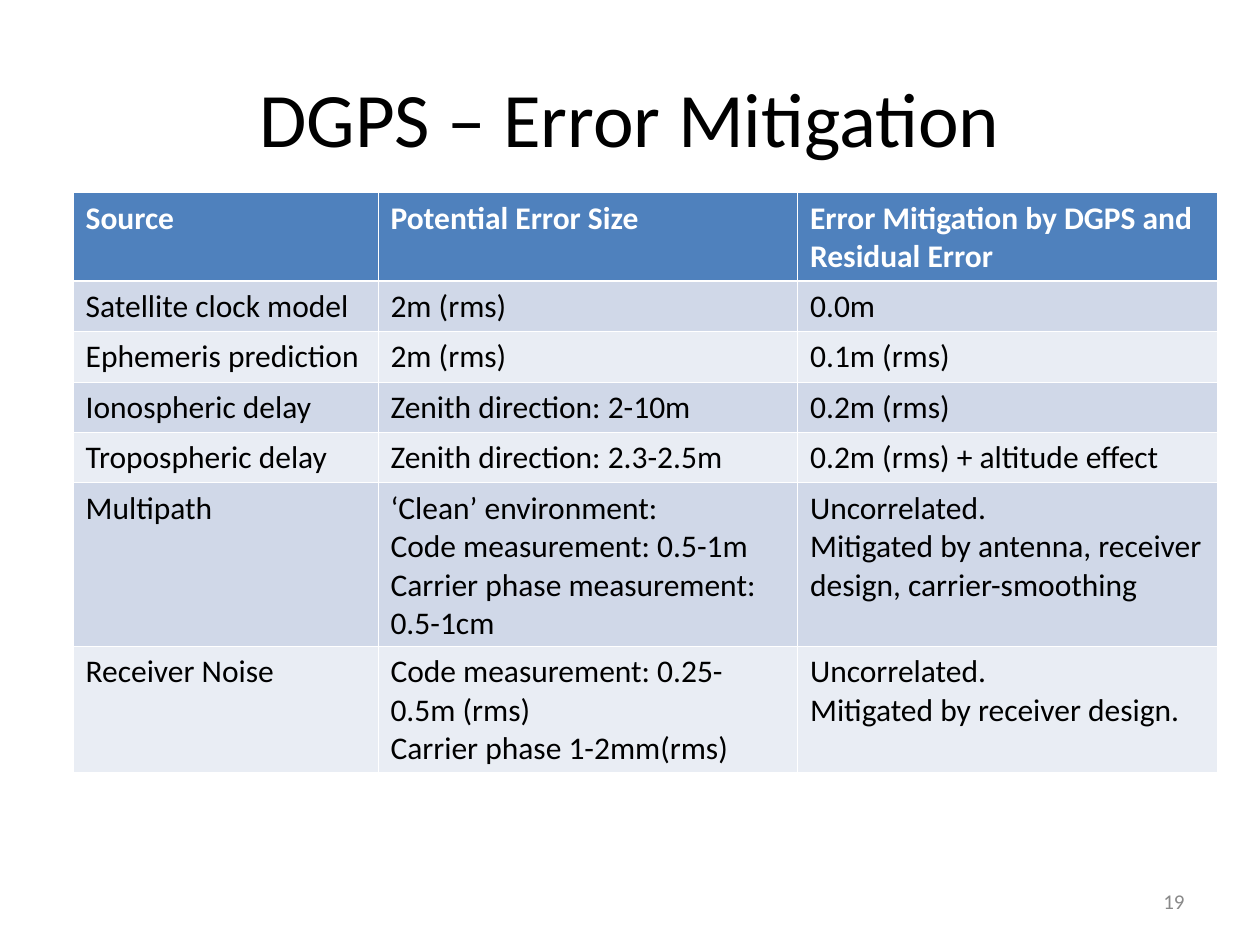
import pptx
import pptx.dml.color
import pptx.enum.text
import pptx.oxml.ns
import pptx.util
from dataclasses import dataclass
from lxml import etree

Inches = pptx.util.Inches
Pt = pptx.util.Pt
Align = pptx.enum.text.PP_ALIGN
Anchor = pptx.enum.text.MSO_ANCHOR

FONT = "Calibri"
WHITE = "FFFFFF"
BLACK = "000000"
HEADER_FILL = "4F81BD"
BAND_FILLS = ("D0D8E8", "E9EDF4")
THIN, THICK = 0.45, 1.47


@dataclass
class Label:
    text: str
    left: float
    top: float
    width: float
    height: float
    size: float
    color: str
    align: Align


@dataclass
class ErrorRow:
    height: float
    source: str
    potential: str
    mitigation: str


LABELS = [
    Label("DGPS – Error Mitigation", 0.5, 0.3, 9, 1.25, 44, BLACK, Align.CENTER),
    Label("19", 7.17, 6.95, 2.33, 0.4, 12, "898989", Align.RIGHT),
]

COLUMN_WIDTHS = (2.42, 3.33, 3.33)
ROWS = [
    ErrorRow(0.7, "Source", "Potential Error Size",
             "Error Mitigation by DGPS and Residual Error"),
    ErrorRow(0.4, "Satellite clock model", "2m (rms)", "0.0m"),
    ErrorRow(0.4, "Ephemeris prediction", "2m (rms)", "0.1m (rms)"),
    ErrorRow(0.4, "Ionospheric delay", "Zenith direction: 2-10m", "0.2m (rms)"),
    ErrorRow(0.4, "Tropospheric delay", "Zenith direction: 2.3-2.5m",
             "0.2m (rms) + altitude effect"),
    ErrorRow(1.3, "Multipath",
             "‘Clean’ environment:\nCode measurement: 0.5-1m\n"
             "Carrier phase measurement: 0.5-1cm",
             "Uncorrelated.\nMitigated by antenna, receiver design, carrier-smoothing"),
    ErrorRow(1, "Receiver Noise",
             "Code measurement: 0.25-0.5m (rms)\nCarrier phase 1-2mm(rms)",
             "Uncorrelated.\nMitigated by receiver design."),
]


def rgb(color: str) -> pptx.dml.color.RGBColor:
    return pptx.dml.color.RGBColor.from_string(color)


def write(frame, text: str, size: float, color: str,
          align: Align = Align.LEFT, bold: bool = False) -> None:
    frame.text = text
    for paragraph in frame.paragraphs:
        paragraph.alignment = align
        paragraph.font.name = FONT
        paragraph.font.size = Pt(size)
        paragraph.font.bold = bold
        paragraph.font.color.rgb = rgb(color)


def draw_label(slide, label: Label) -> None:
    box = slide.shapes.add_textbox(Inches(label.left), Inches(label.top),
                                   Inches(label.width), Inches(label.height))
    frame = box.text_frame
    frame.word_wrap = True
    frame.vertical_anchor = Anchor.MIDDLE
    write(frame, label.text, label.size, label.color, label.align)


def draw_borders(cell, top: float, bottom: float) -> None:
    qn = pptx.oxml.ns.qn
    properties = cell._tc.get_or_add_tcPr()
    for side, width in (("L", THIN), ("R", THIN), ("T", top), ("B", bottom)):
        line = etree.SubElement(properties, qn(f"a:ln{side}"), w=str(int(Pt(width))))
        fill = etree.SubElement(line, qn("a:solidFill"))
        etree.SubElement(fill, qn("a:srgbClr"), val=WHITE)


def draw_error_table(slide, left: float, top: float) -> None:
    table = slide.shapes.add_table(
        len(ROWS), len(COLUMN_WIDTHS), Inches(left), Inches(top),
        Inches(sum(COLUMN_WIDTHS)), Inches(sum(row.height for row in ROWS))).table
    for column, width in zip(table.columns, COLUMN_WIDTHS):
        column.width = Inches(width)
    for index, row in enumerate(ROWS):
        header = index == 0
        table.rows[index].height = Inches(row.height)
        fill = HEADER_FILL if header else BAND_FILLS[(index - 1) % 2]
        texts = (row.source, row.potential, row.mitigation)
        for cell, text in zip(table.rows[index].cells, texts):
            write(cell.text_frame, text, 18, WHITE if header else BLACK, bold=header)
            draw_borders(cell, THICK if index == 1 else THIN, THICK if header else THIN)
            cell.fill.solid()
            cell.fill.fore_color.rgb = rgb(fill)


def main() -> None:
    deck = pptx.Presentation()
    deck.slide_width = Inches(10)
    deck.slide_height = Inches(7.5)
    slide = deck.slides.add_slide(deck.slide_layouts[6])
    for label in LABELS:
        draw_label(slide, label)
    draw_error_table(slide, 0.58, 1.53)
    deck.save("out.pptx")


if __name__ == "__main__":
    main()
